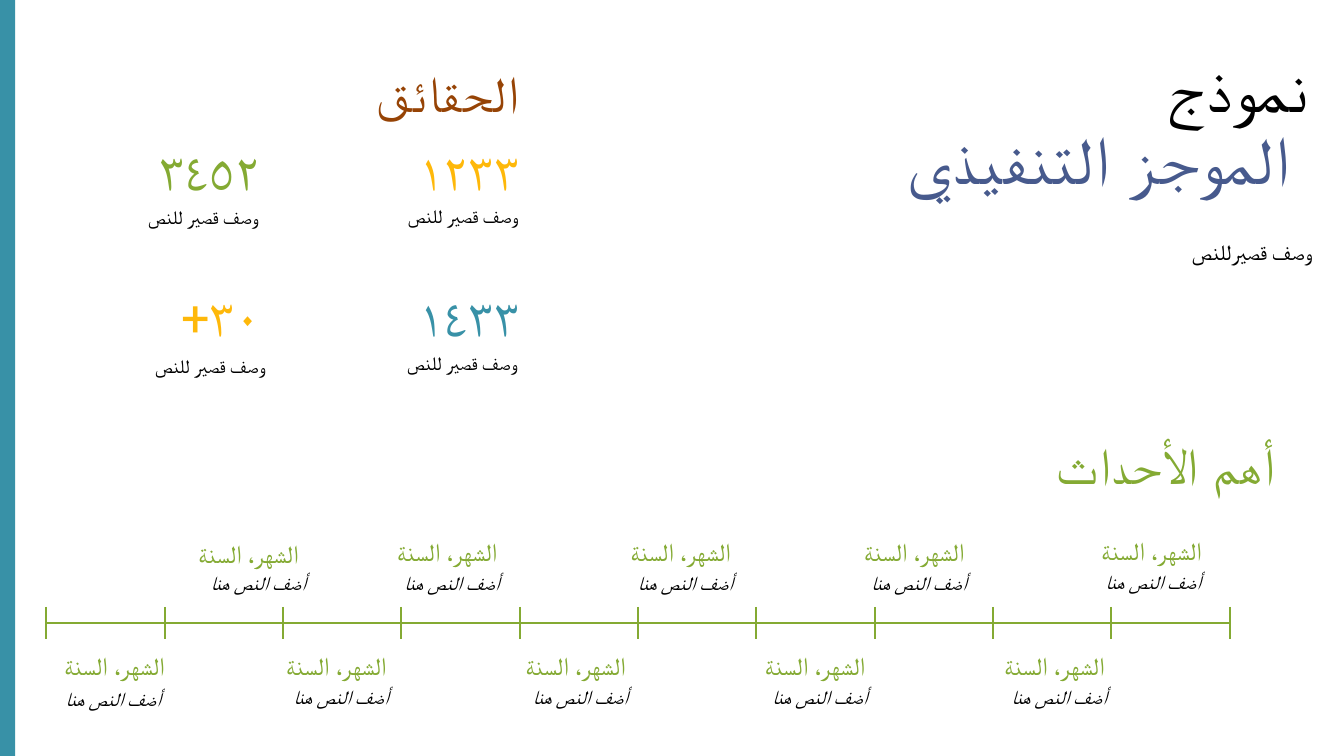
from lxml.etree import SubElement
from pptx import Presentation
from pptx.dml.color import RGBColor
from pptx.enum.shapes import MSO_CONNECTOR, MSO_SHAPE
from pptx.enum.text import MSO_ANCHOR, MSO_AUTO_SIZE, PP_ALIGN
from pptx.oxml.ns import qn
from pptx.util import Pt

COLORS = {
    "black": "000000",
    "indigo": "475A8D",
    "brown": "964305",
    "amber": "FEB80A",
    "teal": "3891A7",
    "green": "84AA33",
}
TITLE = {"name": "Roboto", "size": Pt(48)}
HEADING = {"name": "Roboto", "size": Pt(36)}
DATE = {"name": "Roboto", "size": Pt(18)}
SUBTITLE = {"name": "Cabin", "size": Pt(16)}
CAPTION = {"name": "Cabin", "size": Pt(14)}
NOTE = {"name": "Cabin", "size": Pt(14), "italic": True}
TRACKING = 110  # hundredths of a point


def color(name):
    return RGBColor.from_string(COLORS[name])


def points(*values):
    return [Pt(value) for value in values]


def add_run(paragraph, text, style, color_name, tracking=None):
    run = paragraph.add_run()
    run.text = text
    for attribute, value in style.items():
        setattr(run.font, attribute, value)
    run.font.color.rgb = color(color_name)
    properties = run.font._element
    if tracking:
        properties.set("spc", str(tracking))
    SubElement(properties, qn("a:cs")).set("typeface", style["name"])


def right_paragraph(shape, line_spacing=None, grow=True):
    """Prepare a wrapped, top-anchored frame and return its right-aligned paragraph."""
    frame = shape.text_frame
    frame.word_wrap = True
    frame.vertical_anchor = MSO_ANCHOR.TOP
    frame.auto_size = MSO_AUTO_SIZE.SHAPE_TO_FIT_TEXT if grow else MSO_AUTO_SIZE.NONE
    paragraph = frame.paragraphs[0]
    paragraph.alignment = PP_ALIGN.RIGHT
    if line_spacing:
        paragraph.line_spacing = line_spacing
    return paragraph


def add_title(slide):
    box = slide.shapes.add_textbox(*points(439.2, 35.3, 503.3, 110.9))
    paragraph = right_paragraph(box, 0.9)
    add_run(paragraph, "نموذج", TITLE, "black", TRACKING)
    paragraph.add_line_break()
    add_run(paragraph, "الموجز التنفيذي ", TITLE, "indigo", TRACKING)


def add_heading(slide, text, left, top, width, color_name, tracking=None):
    box = slide.shapes.add_textbox(*points(left, top, width, 46))
    add_run(right_paragraph(box, 0.9), text, HEADING, color_name, tracking)


def add_label(shapes, text, bounds, style, color_name="black", grow=True):
    """Add text in an invisible rounded rectangle."""
    label = shapes.add_shape(MSO_SHAPE.ROUNDED_RECTANGLE, *points(*bounds))
    label.adjustments[0] = 0.081
    label.shadow.inherit = False
    label.fill.background()
    label.line.fill.background()
    add_run(right_paragraph(label, grow=grow), text, style, color_name)


def add_fact(slide, number, color_name, left, top, caption_left, caption_top, caption_height=48.2):
    add_heading(slide, number, left, top, 103.7, color_name)
    add_label(slide.shapes, "وصف قصير للنص",
              (caption_left, caption_top, 198, caption_height), CAPTION)


def add_milestone(slide, left, top, note_dx=0, note_dy=25.2,
                  date_size=(198, 53.3), note_height=48.2):
    group = slide.shapes.add_group_shape()
    add_label(group.shapes, "الشهر، السنة", (left, top, *date_size), DATE, "green")
    add_label(group.shapes, "أضف النص هنا",
              (left + note_dx, top + note_dy, 198.7, note_height), NOTE)


def add_line(shapes, *ends):
    line = shapes.add_connector(MSO_CONNECTOR.STRAIGHT, *points(*ends))
    line.line.color.rgb = color("green")
    line.line.width = Pt(1.5)
    SubElement(line._element.spPr, qn("a:effectLst"))


def add_timeline(slide):
    left, right, middle, half_tick, intervals = 33.1, 878.4, 445, 11.5, 10
    group = slide.shapes.add_group_shape()
    add_line(group.shapes, left, middle, right, middle)
    for index in range(intervals + 1):
        x = left + (right - left) * index / intervals
        add_line(group.shapes, x, middle - half_tick, x, middle + half_tick)


def add_side_bar(slide):
    bar = slide.shapes.add_shape(MSO_SHAPE.RECTANGLE, *points(0, -1.4, 10.8, 542.2))
    bar.shadow.inherit = False
    bar.fill.solid()
    bar.fill.fore_color.rgb = color("teal")
    bar.line.fill.background()


def main():
    presentation = Presentation()
    presentation.slide_width, presentation.slide_height = points(960, 540)
    slide = presentation.slides.add_slide(presentation.slide_layouts[6])

    add_title(slide)
    add_label(slide.shapes, "وصف قصيرللنص", (530.6, 163.4, 416.9, 123.1), SUBTITLE, grow=False)

    add_heading(slide, "الحقائق", -7.2, 46, 385.2, "brown", TRACKING)
    add_fact(slide, "١٢٣٣", "amber", 274.3, 101.5, 180, 141.8, 25.2)
    add_fact(slide, "١٤٣٣", "teal", 274.3, 205.9, 180, 246.2)
    add_fact(slide, "٣٤٥٢", "green", 89.3, 101.5, -5, 141.8)
    add_fact(slide, "+٣٠", "amber", 89.3, 205.9, 0, 248.4)

    add_heading(slide, "أهم الأحداث", 529.9, 311.8, 385.9, "green", TRACKING)
    add_timeline(slide)
    upper, lower = 378, 459.4
    add_milestone(slide, -72, lower, note_dx=-4.3, note_dy=26.6)
    for index in range(4):
        add_milestone(slide, 86.4 + 171 * index, lower)
    add_milestone(slide, 23, upper + 1.4, note_dx=4.3, note_dy=23.8, date_size=(198.7, 53.3))
    for index in range(3):
        add_milestone(slide, 165.6 + 166.8 * index, upper)
    add_milestone(slide, 666, upper, date_size=(200.2, 30.2), note_height=25.2)

    add_side_bar(slide)
    presentation.save("out.pptx")


if __name__ == "__main__":
    main()
